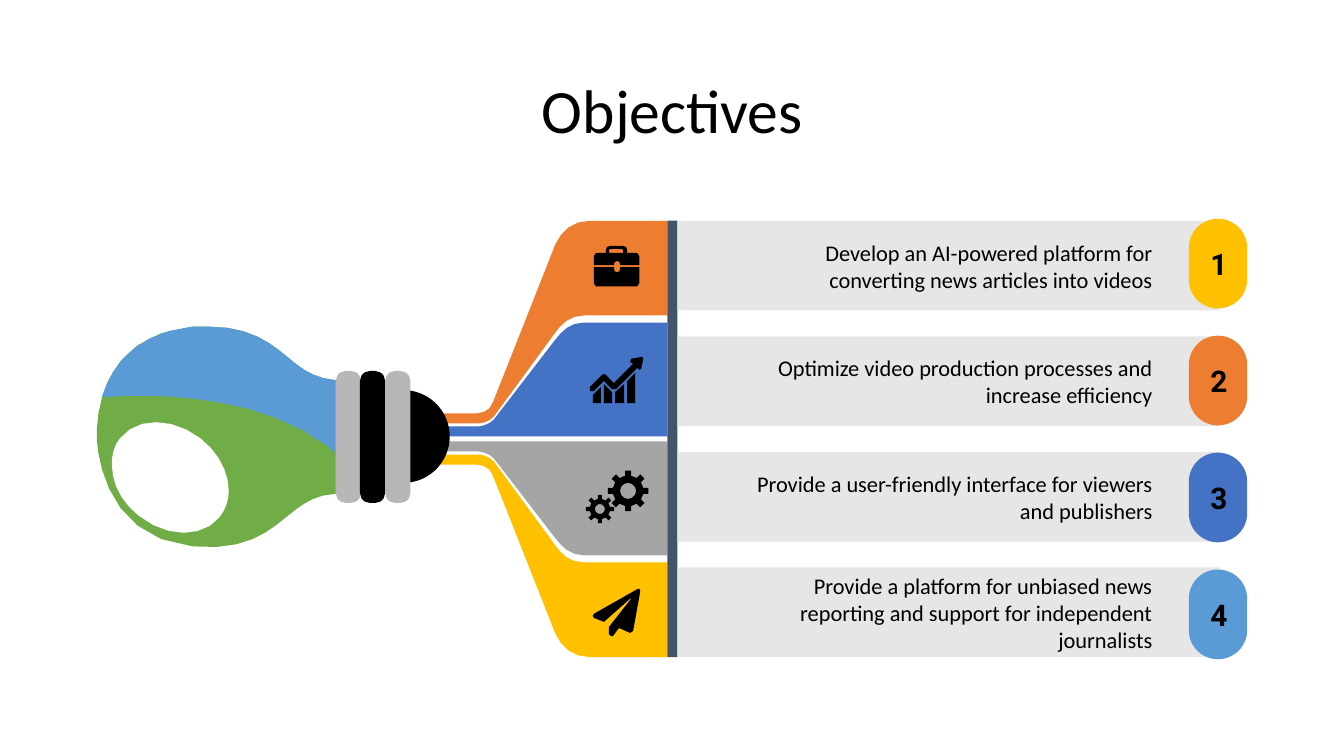
"""Build the Objectives slide: a light bulb feeding four numbered goals."""
from math import ceil, cos, dist, pi, sin, sqrt, tau

from pptx import Presentation
from pptx.dml.color import RGBColor
from pptx.enum.shapes import MSO_SHAPE
from pptx.enum.text import MSO_ANCHOR, PP_ALIGN
from pptx.util import Inches, Pt

BLACK = RGBColor(0x00, 0x00, 0x00)
WHITE = RGBColor(0xFF, 0xFF, 0xFF)
ORANGE = RGBColor(0xED, 0x7D, 0x31)
BLUE = RGBColor(0x44, 0x72, 0xC4)
GRAY = RGBColor(0xA5, 0xA5, 0xA5)
YELLOW = RGBColor(0xFF, 0xC0, 0x00)
GREEN = RGBColor(0x70, 0xAD, 0x47)
SKY = RGBColor(0x5B, 0x9B, 0xD5)
SLATE = RGBColor(0x44, 0x54, 0x6A)
SILVER = RGBColor(0xB7, 0xB7, 0xB7)
PALE = RGBColor(0xE7, 0xE6, 0xE6)


def trace(outline):
    """Turn comma-separated steps into points: two numbers are a line, six a curve."""
    points = []
    for step in outline.split(","):
        numbers = [float(number) for number in step.split()]
        if len(numbers) == 2:
            points.append(tuple(numbers))
            continue
        x0, y0 = points[-1]
        x1, y1, x2, y2, x3, y3 = numbers
        pieces = ceil(6 * sqrt(dist((x0, y0), (x3, y3))))
        for t in [index / pieces for index in range(1, pieces + 1)]:
            a, b, c, d = (1 - t) ** 3, 3 * t * (1 - t) ** 2, 3 * t * t * (1 - t), t ** 3
            points.append((a * x0 + b * x1 + c * x2 + d * x3, a * y0 + b * y1 + c * y2 + d * y3))
    return points


def draw(shapes, color, contours=None, kind=MSO_SHAPE.RECTANGLE, box=None, rounding=None):
    """Add a borderless filled outline, or a preset shape when a box is given."""
    if box:
        shape = shapes.add_shape(kind, *[Inches(length) for length in box])
        if rounding is not None:
            shape.adjustments[0] = rounding
    else:
        builder = None
        for contour in contours:
            start, *rest = [(Inches(x), Inches(y)) for x, y in contour]
            if builder is None:
                builder = shapes.build_freeform(*start)
            else:
                builder.move_to(*start)
            builder.add_line_segments(rest, close=True)
        shape = builder.convert_to_shape()
    shape.shadow.inherit = False
    shape.fill.solid()
    shape.fill.fore_color.rgb = color
    shape.line.fill.background()
    return shape


presentation = Presentation()
presentation.slide_width, presentation.slide_height = Inches(13.33), Inches(7.5)
slide = presentation.slides.add_slide(presentation.slide_layouts[5])

title = slide.shapes.title
title.left, title.top, title.width, title.height = Inches(4.17), Inches(0.78), Inches(5), Inches(0.7)
title.text_frame.vertical_anchor = MSO_ANCHOR.MIDDLE
paragraph = title.text_frame.paragraphs[0]
paragraph.alignment = PP_ALIGN.CENTER
paragraph.line_spacing = 0.9
run = paragraph.add_run()
run.text = "Objectives"
run.font.name, run.font.size, run.font.color.rgb = "Calibri", Pt(44), BLACK

MIRROR_SUM = 8.71
inner_ribbon = trace(
    "2.92 4.48, 4.75 4.48, 4.79 4.48 4.87 4.51 4.9 4.55, 5.5 5.33,"
    "5.57 5.42 5.65 5.51 5.79 5.51, 6.62 5.51, 6.62 4.38, 2.92 4.38")
outer_ribbon = trace(
    "2.92 4.51, 2.92 4.61, 4.73 4.61, 4.8 4.61 4.87 4.65 4.89 4.72, 5.51 6.29,"
    "5.57 6.42 5.68 6.52 5.85 6.52, 6.62 6.52, 6.62 5.58, 5.79 5.58,"
    "5.65 5.58 5.57 5.5 5.5 5.4, 4.9 4.58, 4.87 4.54 4.8 4.51 4.75 4.51")
ribbons = slide.shapes.add_group_shape().shapes
for ribbon, lower_color, upper_color in [(inner_ribbon, GRAY, BLUE), (outer_ribbon, YELLOW, ORANGE)]:
    draw(ribbons, lower_color, [ribbon])
    draw(ribbons, upper_color, [[(x, MIRROR_SUM - y) for x, y in ribbon]])
draw(slide.shapes, SLATE, box=(6.62, 2.19, 0.1, 4.33))

BRIEFCASE = [
    ["5.89 2.65, 5.89 2.81, 5.91 2.84, 6.32 2.84, 6.34 2.81, 6.34 2.65, 6.15 2.65,"
     "6.15 2.67, 6.15 2.69 6.14 2.7 6.12 2.7, 6.1 2.7 6.09 2.69 6.09 2.67, 6.09 2.65"],
    ["6.17 2.47, 6.18 2.48, 6.18 2.51, 6.04 2.51, 6.04 2.48, 6.05 2.47",
     "6.05 2.44, 6.02 2.45, 6.01 2.48, 6.01 2.51, 5.91 2.51, 5.89 2.54, 5.89 2.63, 6.09 2.63,"
     "6.09 2.62, 6.09 2.6 6.1 2.59 6.12 2.59, 6.14 2.59 6.15 2.6 6.15 2.62, 6.15 2.63,"
     "6.34 2.63, 6.34 2.54, 6.32 2.51, 6.22 2.51, 6.22 2.48, 6.21 2.45, 6.18 2.44"],
]
GROWTH = [
    ["6.37 3.54, 6.26 3.56, 6.25 3.59, 6.28 3.61, 6.09 3.8, 6.01 3.72, 5.99 3.71, 5.97 3.72,"
     "5.85 3.84, 5.85 3.88, 5.89 3.88, 5.99 3.78, 6.07 3.86, 6.11 3.86, 6.32 3.65,"
     "6.34 3.67, 6.36 3.66, 6.38 3.56"],
    ["5.96 3.84, 5.88 3.92, 5.88 4, 5.96 4"],
    ["5.99 3.81, 5.99 4, 6.07 4, 6.07 3.89"],
    ["6.19 3.81, 6.1 3.89, 6.1 4, 6.19 4"],
    ["6.3 3.7, 6.22 3.78, 6.22 4, 6.3 4"],
]
for icon in [BRIEFCASE, GROWTH]:
    icon_shapes = slide.shapes.add_group_shape().shapes
    for part in icon:
        draw(icon_shapes, BLACK, [trace(outline) for outline in part])

gears = slide.shapes.add_group_shape().shapes
for center_x, center_y, tip, rim, hole, half_tooth in [
        (5.95, 5.05, 0.14, 0.1, 0.05, 0.02), (6.23, 4.87, 0.2, 0.15, 0.08, 0.03)]:
    teeth = []
    for angle in [index * pi / 4 for index in range(8)]:
        for along, across in [(rim, -half_tooth), (tip, -half_tooth), (tip, half_tooth), (rim, half_tooth)]:
            teeth.append((center_x + along * cos(angle) - across * sin(angle),
                          center_y + along * sin(angle) + across * cos(angle)))
    bore = [(center_x + hole * cos(tau * index / 12), center_y - hole * sin(tau * index / 12))
            for index in range(12)]
    draw(gears, BLACK, [teeth, bore])

paper_plane = trace(
    "6.33 5.84, 5.89 6.09, 5.88 6.11, 5.89 6.13, 5.99 6.17, 6.25 5.94, 6.26 5.94,"
    "6.04 6.22, 6.04 6.29, 6.06 6.31, 6.08 6.31, 6.14 6.23, 6.25 6.28, 6.28 6.26,"
    "6.35 5.87, 6.35 5.85")
draw(slide.shapes, BLACK, [paper_plane])

bulb = slide.shapes.add_group_shape().shapes
bulb_top = (
    "3.47 3.93, 3.47 3.85 3.41 3.78 3.32 3.77, 3.11 3.75 2.99 3.66 2.85 3.54,"
    "2.68 3.4 2.48 3.24 2.07 3.24, 1.91 3.24,")
draw(bulb, GREEN, [trace(
    "0.96 4.33, 0.96 4.35 0.97 5.33 1.91 5.42, 2.43 5.47 2.66 5.28 2.85 5.12,"
    "2.99 5.01 3.11 4.91 3.32 4.9, 3.4 4.89 3.47 4.82 3.47 4.74,"
    + bulb_top + "0.97 3.33 0.96 4.17 0.96 4.33")])
draw(bulb, SKY, [trace(
    "1.01 3.94, 1.58 3.9 2.78 3.9 3.47 4.62," + bulb_top + "1.32 3.3 1.1 3.65 1.01 3.94")])
draw(bulb, BLACK, kind=MSO_SHAPE.ROUNDED_RECTANGLE, box=(3.47, 3.87, 0.99, 0.92), rounding=0.5)
for left, color in [(3.33, SILVER), (3.57, BLACK), (3.82, SILVER)]:
    draw(bulb, color, kind=MSO_SHAPE.ROUNDED_RECTANGLE, box=(left, 3.68, 0.25, 1.31), rounding=0.4)
draw(bulb, WHITE, [trace(
    "1.11 4.61, 1.11 4.79 1.2 4.98 1.38 5.12, 1.66 5.34 2.01 5.34 2.18 5.13,"
    "2.24 5.05 2.27 4.96 2.27 4.87, 2.27 4.69 2.17 4.49 1.99 4.35,"
    "1.72 4.14 1.36 4.13 1.19 4.35, 1.13 4.42 1.11 4.51 1.11 4.61")])

objectives = [
    ("Develop an AI-powered platform for converting news articles into videos", YELLOW),
    ("Optimize video production processes and increase efficiency", ORANGE),
    ("Provide a user-friendly interface for viewers and publishers", BLUE),
    ("Provide a platform for unbiased news reporting and support for independent journalists", SKY),
]
ROW_HEIGHT = 0.89
row_pitch = (4.33 - ROW_HEIGHT) / (len(objectives) - 1)
for index, (objective, color) in enumerate(objectives):
    bar = draw(slide.shapes, PALE, box=(6.72, 2.19 + index * row_pitch, 5.38, ROW_HEIGHT))
    badge = draw(slide.shapes, color, kind=MSO_SHAPE.ROUNDED_RECTANGLE,
                 box=(11.79, 2.17 + index * 1.16, 0.58, ROW_HEIGHT), rounding=0.5)
    for shape, text, side_margin, alignment, font_name, size, bold in [
            (bar, objective, 0.67, PP_ALIGN.RIGHT, "Calibri", 16, False),
            (badge, str(index + 1), 0.13, PP_ALIGN.LEFT, "Roboto", 21.3, True)]:
        frame = shape.text_frame
        frame.word_wrap = True
        frame.vertical_anchor = MSO_ANCHOR.MIDDLE
        frame.margin_left = frame.margin_right = Inches(side_margin)
        frame.margin_top = frame.margin_bottom = Inches(0.13)
        paragraph = frame.paragraphs[0]
        paragraph.alignment = alignment
        run = paragraph.add_run()
        run.text = text
        run.font.name, run.font.size, run.font.bold = font_name, Pt(size), bold
        run.font.color.rgb = BLACK

presentation.save("out.pptx")
